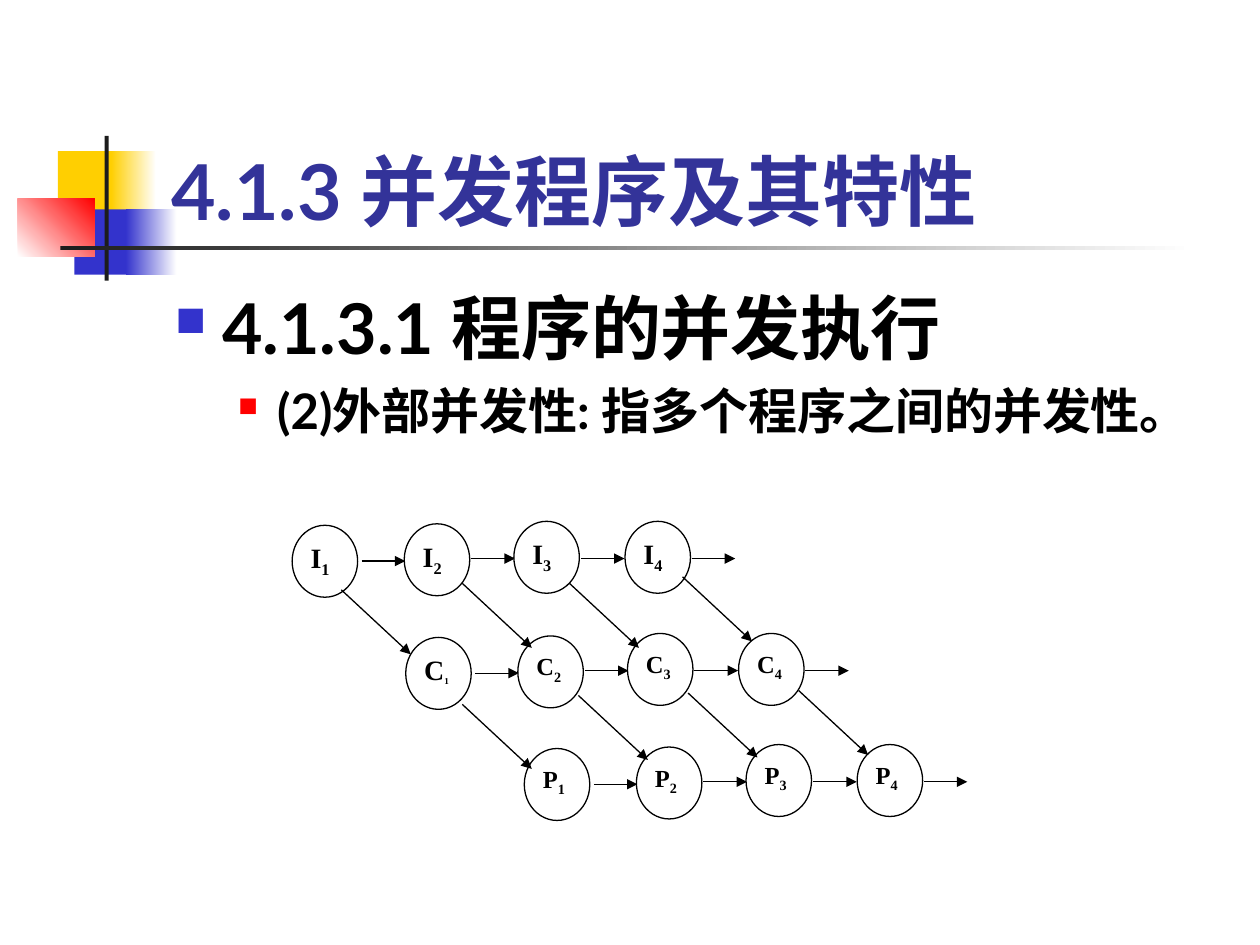
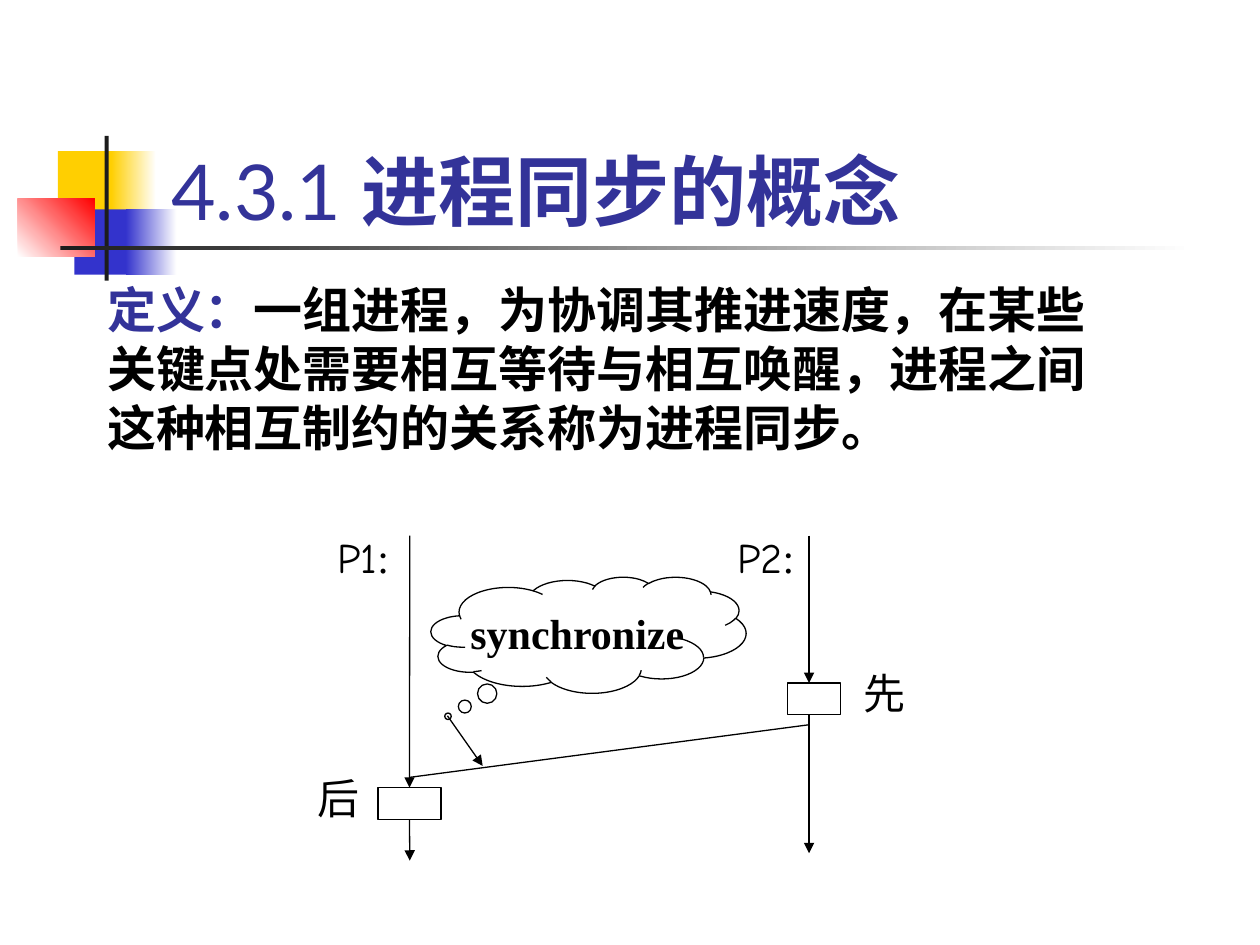
"""Build two slides on concurrent programs and process synchronisation."""
from typing import NamedTuple, Optional

from lxml.etree import SubElement
from pptx import Presentation
from pptx.dml.color import RGBColor
from pptx.enum.shapes import MSO_CONNECTOR, MSO_SHAPE
from pptx.enum.text import MSO_ANCHOR, MSO_AUTO_SIZE, PP_ALIGN
from pptx.oxml.ns import qn
from pptx.util import Cm, Pt

BLACK = RGBColor(0x00, 0x00, 0x00)
WHITE = RGBColor(0xFF, 0xFF, 0xFF)
YELLOW = RGBColor(0xFF, 0xCF, 0x01)
BLUE = RGBColor(0x33, 0x33, 0xCC)
RED = RGBColor(0xFF, 0x00, 0x00)
CHARCOAL = RGBColor(0x1C, 0x1C, 0x1C)
TITLE_BLUE = RGBColor(0x33, 0x33, 0x99)

LATO = "Lato"
TIMES = "Times New Roman"
COMIC = "Comic Neue"
TITLE_LAYOUT = 5
TOP, BOTTOM = 0, 2


class Box(NamedTuple):
    """Left, top, width and height in centimetres."""

    left: float
    top: float
    width: float
    height: float

    def lengths(self) -> list:
        """Return the four values as slide lengths."""
        return [Cm(value) for value in self]


class Band(NamedTuple):
    """A coloured part of the shared title decoration."""

    box: Box
    color: RGBColor
    end_color: Optional[RGBColor] = None
    angle: int = 0


class TaskRow(NamedTuple):
    """One kind of task, its place, its label sizes and its diagonal starts."""

    letter: str
    left: float
    top: float
    sizes: tuple
    diagonals: tuple = ()


class Label(NamedTuple):
    """A label beside a process line."""

    box: Box
    runs: tuple


BANDS = (
    Band(Box(1.17, 3.05, 1.22, 1.32), YELLOW),
    Band(Box(2.24, 3.05, 0.91, 1.32), YELLOW, WHITE),
    Band(Box(1.5, 4.22, 1.17, 1.32), BLUE),
    Band(Box(2.54, 4.22, 1.02, 1.32), BLUE, WHITE),
    Band(Box(0.36, 4.01, 1.55, 1.17), WHITE, RED, 45),
    Band(Box(2.11, 2.74, 0.08, 2.92), CHARCOAL),
    Band(Box(1.22, 4.95, 22.86, 0.09), CHARCOAL, WHITE),
)
TITLE_BOX = Box(3.2, 1.7, 21.64, 3.18)

TASK_ROWS = (
    TaskRow("I", 5.89, 10.59, (16, 16, 16, 16),
            ((0.99, 1.3), (3.43, 1.17), (5.59, 1.17), (7.87, 1.04))),
    TaskRow("C", 8.18, 12.85, (16, 14, 14, 14),
            ((1.14, 1.35), (3.48, 1.17), (5.69, 1.12), (7.92, 1.07))),
    TaskRow("P", 10.57, 15.09, (14, 14, 14, 14)),
)
NODE_OFFSETS = ((0, 0), (2.26, -0.03), (4.47, -0.08), (6.71, -0.08))
ARROW_OFFSETS = ((1.4, 0.72), (3.61, 0.67), (5.82, 0.67), (8.05, 0.67))
NODE_WIDTH, NODE_HEIGHT = 1.32, 1.45
ARROW_LENGTH = 0.88
DIAGONAL_WIDTH, DIAGONAL_HEIGHT = 1.4, 1.3

P1_X, P2_X = 8.26, 16.31
LABELS = (
    Label(Box(6.55, 10.59, 1.7, 1.27), (("P1", COMIC), (":", TIMES))),
    Label(Box(14.61, 10.59, 1.9, 1.27), (("P2", COMIC), (":", TIMES))),
    Label(Box(6.15, 15.44, 1.27, 1.27), (("后", TIMES),)),
    Label(Box(17.15, 13.34, 1.47, 1.27), (("先", TIMES),)),
)


def add_run(paragraph, text: str, *, size: float, font: str = TIMES,
            color: RGBColor = BLACK, bold: bool = False, subscript: bool = False) -> None:
    """Append formatted text to a paragraph."""
    run = paragraph.add_run()
    run.text = text
    run.font.name = font
    run.font.size = Pt(size)
    run.font.bold = bold
    run.font.color.rgb = color
    if subscript:
        run.font._element.set("baseline", "-25000")


def add_bullet(paragraph, color: RGBColor, percent: int, margin: float, hanging: float) -> None:
    """Give a paragraph a coloured square bullet and a hanging indent."""
    properties = paragraph._p.get_or_add_pPr()
    properties.set("marL", str(Cm(margin)))
    properties.set("indent", str(-Cm(hanging)))
    bullet_color = SubElement(properties, qn("a:buClr"))
    SubElement(bullet_color, qn("a:srgbClr"), val=str(color))
    SubElement(properties, qn("a:buSzPct"), val=str(percent * 1000))
    SubElement(properties, qn("a:buChar"), char="■")


def add_outline(slide, kind: MSO_SHAPE, box: Box, fill: Optional[RGBColor] = WHITE):
    """Add a thin black outlined shape, filled unless fill is None."""
    shape = slide.shapes.add_shape(kind, *box.lengths())
    shape.shadow.inherit = False
    if fill is None:
        shape.fill.background()
    else:
        shape.fill.solid()
        shape.fill.fore_color.rgb = fill
    shape.line.color.rgb = BLACK
    shape.line.width = Pt(0.75)
    return shape


def add_line(slide, start: tuple, end: tuple, arrow: bool = True):
    """Add a straight black line, with an arrowhead at its end by default."""
    points = [Cm(value) for value in (*start, *end)]
    connector = slide.shapes.add_connector(MSO_CONNECTOR.STRAIGHT, *points)
    connector.line.color.rgb = BLACK
    connector.line.width = Pt(0.75)
    if arrow:
        SubElement(connector.line._get_or_add_ln(), qn("a:tailEnd"), type="triangle")
    SubElement(connector._element.spPr, qn("a:effectLst"))
    return connector


def add_text_box(slide, box: Box):
    """Add a wrapping text box and return its text frame."""
    frame = slide.shapes.add_textbox(*box.lengths()).text_frame
    frame.word_wrap = True
    return frame


def add_band(slide, band: Band) -> None:
    """Draw one part of the title decoration."""
    shape = slide.shapes.add_shape(MSO_SHAPE.RECTANGLE, *band.box.lengths())
    shape.shadow.inherit = False
    shape.line.fill.background()
    if band.end_color is None:
        shape.fill.solid()
        shape.fill.fore_color.rgb = band.color
        return
    shape.fill.gradient()
    shape.fill.gradient_angle = band.angle
    for stop, color in zip(shape.fill.gradient_stops, (band.color, band.end_color)):
        stop.color.rgb = color


def add_titled_slide(presentation, title_runs: tuple):
    """Add a slide with the shared decoration and a title in front of it."""
    slide = presentation.slides.add_slide(presentation.slide_layouts[TITLE_LAYOUT])
    for band in BANDS:
        add_band(slide, band)
    title = slide.shapes.title
    slide.shapes._spTree.append(title._element)
    title.left, title.top, title.width, title.height = TITLE_BOX.lengths()
    frame = title.text_frame
    frame.auto_size = MSO_AUTO_SIZE.NONE
    frame.vertical_anchor = MSO_ANCHOR.BOTTOM
    paragraph = frame.paragraphs[0]
    paragraph.alignment = PP_ALIGN.LEFT
    for text, bold in title_runs:
        add_run(paragraph, text, size=44, font=LATO, color=TITLE_BLUE, bold=bold)
    return slide


def add_task(slide, row: TaskRow, column: int) -> None:
    """Draw one numbered task circle."""
    shift_x, shift_y = NODE_OFFSETS[column]
    box = Box(row.left + shift_x, row.top + shift_y, NODE_WIDTH, NODE_HEIGHT)
    frame = add_outline(slide, MSO_SHAPE.OVAL, box).text_frame
    frame.margin_left = frame.margin_right = Cm(0.18)
    frame.margin_top = frame.margin_bottom = Cm(0.1)
    frame.vertical_anchor = MSO_ANCHOR.TOP
    paragraph = frame.paragraphs[0]
    paragraph.alignment = PP_ALIGN.JUSTIFY
    size = row.sizes[column]
    number_size = 9 if (row.letter, column) == ("C", 0) else size
    add_run(paragraph, row.letter, size=size, bold=True)
    add_run(paragraph, str(column + 1), size=number_size, bold=True, subscript=True)


def add_concurrency_slide(presentation) -> None:
    """Build the slide on concurrent execution."""
    slide = add_titled_slide(presentation, (("4.1.3 并发程序及其特性", True),))
    frame = add_text_box(slide, Box(3.28, 5.61, 21.59, 11.43))
    heading = frame.paragraphs[0]
    add_bullet(heading, BLUE, 60, 0.95, 0.95)
    add_run(heading, "4.1.3.1 程序的并发执行", size=40, font=LATO, bold=True)
    detail = frame.add_paragraph()
    detail.level = 1
    detail.space_before = Pt(7)
    add_bullet(detail, RED, 55, 2.06, 0.79)
    add_run(detail, "(2)外部并发性: 指多个程序之间的并发性。", size=28, font=LATO, bold=True)

    for row in TASK_ROWS:
        for column, (shift_x, shift_y) in enumerate(ARROW_OFFSETS):
            add_task(slide, row, column)
            x, y = row.left + shift_x, row.top + shift_y
            add_line(slide, (x, y), (x + ARROW_LENGTH, y))
    for row in TASK_ROWS:
        for shift_x, shift_y in row.diagonals:
            x, y = row.left + shift_x, row.top + shift_y
            add_line(slide, (x, y), (x + DIAGONAL_WIDTH, y + DIAGONAL_HEIGHT))


def add_synchronization_slide(presentation) -> None:
    """Build the slide on process synchronisation."""
    slide = add_titled_slide(presentation, (("4.3.1 ", False), ("进程同步的概念", True)))
    definition = add_text_box(slide, Box(1.91, 5.51, 20.96, 3.81)).paragraphs[0]
    add_run(definition, "定义：", size=28, color=TITLE_BLUE, bold=True)
    add_run(definition, "一组进程，为协调其推进速度，在某些关键点处需要相互等待与相互唤醒，"
            "进程之间这种相互制约的关系称为进程同步。", size=28, bold=True)

    for label in LABELS:
        paragraph = add_text_box(slide, label.box).paragraphs[0]
        for text, font in label.runs:
            add_run(paragraph, text, size=24, font=font)

    add_line(slide, (P2_X, 10.8), (P2_X, 13.77))
    add_line(slide, (P2_X, 14.4), (P2_X, 17.2))
    add_outline(slide, MSO_SHAPE.RECTANGLE, Box(15.88, 13.77, 1.07, 0.64))
    later_step = add_outline(slide, MSO_SHAPE.RECTANGLE, Box(7.62, 15.88, 1.27, 0.64))
    add_line(slide, (P1_X, 10.8), (P1_X, 15.88)).end_connect(later_step, TOP)
    add_line(slide, (P1_X, 16.52), (P1_X, 17.35)).begin_connect(later_step, BOTTOM)
    add_line(slide, (P1_X, 15.67), (P2_X, 14.61), arrow=False)

    cloud = add_outline(slide, MSO_SHAPE.CLOUD_CALLOUT, Box(8.69, 11.63, 6.35, 2.34), None)
    cloud.adjustments[0], cloud.adjustments[1] = -0.446, 0.701
    frame = cloud.text_frame
    frame.word_wrap = False
    frame.vertical_anchor = MSO_ANCHOR.MIDDLE
    frame.paragraphs[0].alignment = PP_ALIGN.CENTER
    add_run(frame.paragraphs[0], "synchronize", size=24, bold=True)
    add_line(slide, (9.02, 14.43), (9.73, 15.44))


def main() -> None:
    """Create and save the presentation."""
    presentation = Presentation()
    presentation.slide_width, presentation.slide_height = Cm(25.4), Cm(19.05)
    add_concurrency_slide(presentation)
    add_synchronization_slide(presentation)
    presentation.save("out.pptx")


if __name__ == "__main__":
    main()
